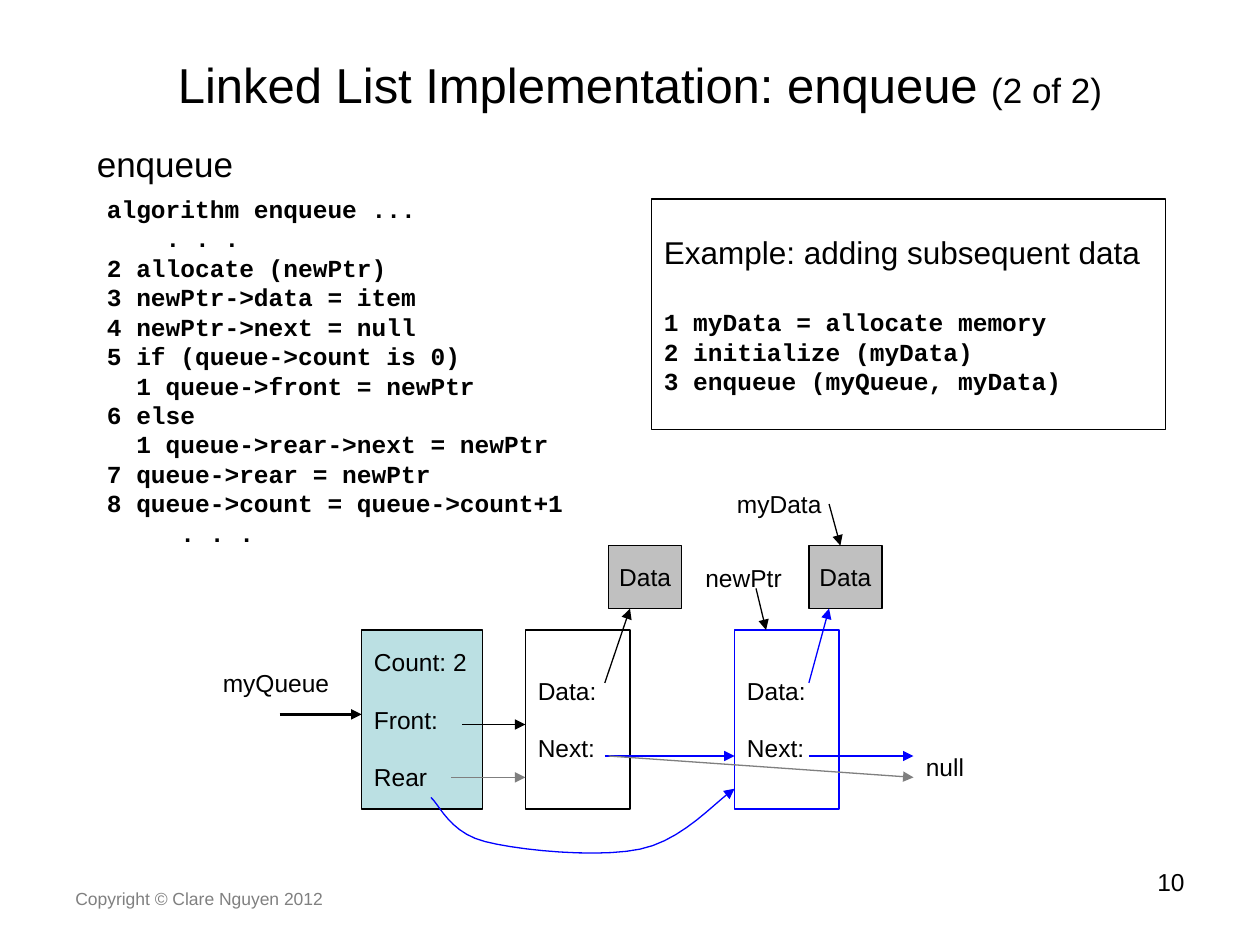
import pptx
import pptx.dml.color
import pptx.enum.shapes
import pptx.enum.text
import pptx.oxml.ns
import pptx.util
from lxml import etree

Inches = pptx.util.Inches
Pt = pptx.util.Pt
ALIGN = pptx.enum.text.PP_ALIGN
ANCHOR = pptx.enum.text.MSO_ANCHOR
SHAPE = pptx.enum.shapes.MSO_SHAPE
LINE = pptx.enum.shapes.MSO_CONNECTOR.STRAIGHT

COLORS = {"black": "000000", "blue": "0000FF", "gray": "7F7F7F", "footer": "808080",
          "data": "C0C0C0", "queue": "BBE0E3"}
ARIAL = {"name": "Arial", "size": Pt(14), "bold": False}
CODE = {"name": "Courier New", "size": Pt(14), "bold": True}

ENQUEUE_CODE = """algorithm enqueue ...
    . . .
2 allocate (newPtr)
3 newPtr->data = item
4 newPtr->next = null
5 if (queue->count is 0)
  1 queue->front = newPtr
6 else
  1 queue->rear->next = newPtr
7 queue->rear = newPtr
8 queue->count = queue->count+1
     . . .""".split("\n")
EXAMPLE_CODE = ["1 myData = allocate memory", "2 initialize (myData)",
                "3 enqueue (myQueue, myData)"]

NODE_TOP, NODE_W, NODE_H = 5, 0.83, 1.42


def rgb(color):
    return pptx.dml.color.RGBColor.from_string(COLORS[color])


def add_run(p, text, font, color="black"):
    r = p.add_run()
    r.text = text
    for key, value in font.items():
        setattr(r.font, key, value)
    r.font.color.rgb = rgb(color)


def write(tf, lines, font=ARIAL, color="black", gap=0, align=ALIGN.LEFT):
    for i, line in enumerate(lines):
        p = tf.paragraphs[0] if i == 0 else tf.add_paragraph()
        p.alignment = align
        if i and gap:
            p.space_before = Pt(gap)
        add_run(p, line, font, color)


def add_text(s, box, lines, anchor=ANCHOR.TOP, **style):
    tf = s.shapes.add_textbox(*map(Inches, box)).text_frame
    tf.word_wrap = True
    tf.vertical_anchor = anchor
    write(tf, lines, **style)
    return tf


def add_box(s, box, lines, fill=None, line="black", **style):
    sp = s.shapes.add_shape(SHAPE.RECTANGLE, *map(Inches, box))
    sp.shadow.inherit = False
    if fill:
        sp.fill.solid()
        sp.fill.fore_color.rgb = rgb(fill)
    else:
        sp.fill.background()
    sp.line.color.rgb = rgb(line)
    sp.line.width = Pt(0.75)
    tf = sp.text_frame
    tf.word_wrap = False
    tf.vertical_anchor = ANCHOR.MIDDLE
    write(tf, lines, **style)
    return tf


def style_arrow(sp, color, width):
    sp.line.color.rgb = rgb(color)
    sp.line.width = Pt(width)
    etree.SubElement(sp.line._get_or_add_ln(), pptx.oxml.ns.qn("a:tailEnd"), type="triangle")


def add_arrow(s, start, end, color="black", width=0.75):
    sp = s.shapes.add_connector(LINE, *map(Inches, start + end))
    style_arrow(sp, color, width)
    etree.SubElement(sp._element.spPr, pptx.oxml.ns.qn("a:effectLst"))


def bezier(a, b, c, d, t):
    u = 1 - t
    return tuple(Inches(u**3 * i + 3 * u * u * t * j + 3 * u * t * t * k + t**3 * m)
                 for i, j, k, m in zip(a, b, c, d))


def add_curved_arrow(s, start, curves, color, steps=10):
    points, pen = [], start
    for b, c, d in curves:
        points += [bezier(pen, b, c, d, n / steps) for n in range(1, steps + 1)]
        pen = d
    builder = s.shapes.build_freeform(*map(Inches, start))
    builder.add_line_segments(points, close=False)
    sp = builder.convert_to_shape()
    sp.shadow.inherit = False
    sp.fill.background()
    style_arrow(sp, color, 0.75)


def add_node(s, left, color):
    add_box(s, (left, NODE_TOP, NODE_W, NODE_H), ["Data:", "Next:"], line=color, gap=16)


def add_data(s, left):
    add_box(s, (left, 4.33, 0.58, 0.5), ["Data"], fill="data", align=ALIGN.CENTER)


def add_headings(s):
    add_text(s, (0.5, 7, 3.17, 0.27), ["Copyright © Clare Nguyen 2012"],
             font={**ARIAL, "size": Pt(10)}, color="footer")
    add_text(s, (7.17, 6.83, 2.33, 0.52), ["10"], align=ALIGN.RIGHT)
    tf = add_text(s, (0.58, 0.33, 9, 0.67), ["Linked List Implementation: enqueue "],
                  anchor=ANCHOR.MIDDLE, font={**ARIAL, "size": Pt(28)}, align=ALIGN.CENTER)
    add_run(tf.paragraphs[0], "(2 of 2)", {**ARIAL, "size": Pt(20)})
    add_text(s, (0.67, 1.08, 9, 0.45), ["enqueue"], font={**ARIAL, "size": Pt(20)})


def add_code(s):
    add_text(s, (0.75, 1.49, 4, 2.9), ENQUEUE_CODE, anchor=ANCHOR.MIDDLE, font=CODE)
    tf = add_box(s, (5.17, 1.58, 4.08, 1.83), ["Example: adding subsequent data"],
                 font={**ARIAL, "size": Pt(18)})
    tf.paragraphs[0].space_after = Pt(21)
    for line in EXAMPLE_CODE:
        p = tf.add_paragraph()
        p.alignment = ALIGN.LEFT
        add_run(p, line, CODE)


def add_diagram(s):
    add_box(s, (2.87, NODE_TOP, 0.96, NODE_H), ["Count: 2", "Front:", "Rear"],
            fill="queue", gap=16)
    add_node(s, 4.17, "black")
    add_node(s, 5.83, "blue")
    add_data(s, 4.83)
    add_data(s, 6.42)
    for text, left, top, width in [("myQueue", 1.67, 5.25, 1.1), ("null", 7.25, 5.92, 0.7),
                                   ("myData", 5.75, 3.83, 0.95), ("newPtr", 5.5, 4.42, 0.9)]:
        add_text(s, (left, top, width, 0.34), [text])
    add_arrow(s, (2.22, 5.67), (2.87, 5.67), width=1.5)
    for start, end, color in [
        ((4.8, 6), (5.83, 6), "blue"),
        ((3.67, 5.75), (4.17, 5.75), "black"),
        ((4.8, 5.42), (5, 4.83), "black"),
        ((3.58, 6.17), (4.17, 6.17), "gray"),
        ((6.42, 5.42), (6.58, 4.83), "blue"),
        ((6.42, 6), (7.25, 6), "blue"),
        ((6.58, 4), (6.67, 4.33), "black"),
        ((6, 4.67), (6.08, 5), "black"),
        ((4.83, 6), (7.25, 6.17), "gray"),
    ]:
        add_arrow(s, start, end, color)
    add_curved_arrow(s, (3.42, 6.33), [
        ((3.49, 6.39), (3.57, 6.61), (3.85, 6.68)),
        ((4.12, 6.75), (4.75, 6.81), (5.08, 6.74)),
        ((5.42, 6.67), (5.68, 6.36), (5.83, 6.26)),
    ], "blue")


def main():
    prs = pptx.Presentation()
    prs.slide_width, prs.slide_height = Inches(10), Inches(7.5)
    s = prs.slides.add_slide(prs.slide_layouts[6])
    add_headings(s)
    add_code(s)
    add_diagram(s)
    prs.save("out.pptx")


if __name__ == "__main__":
    main()
